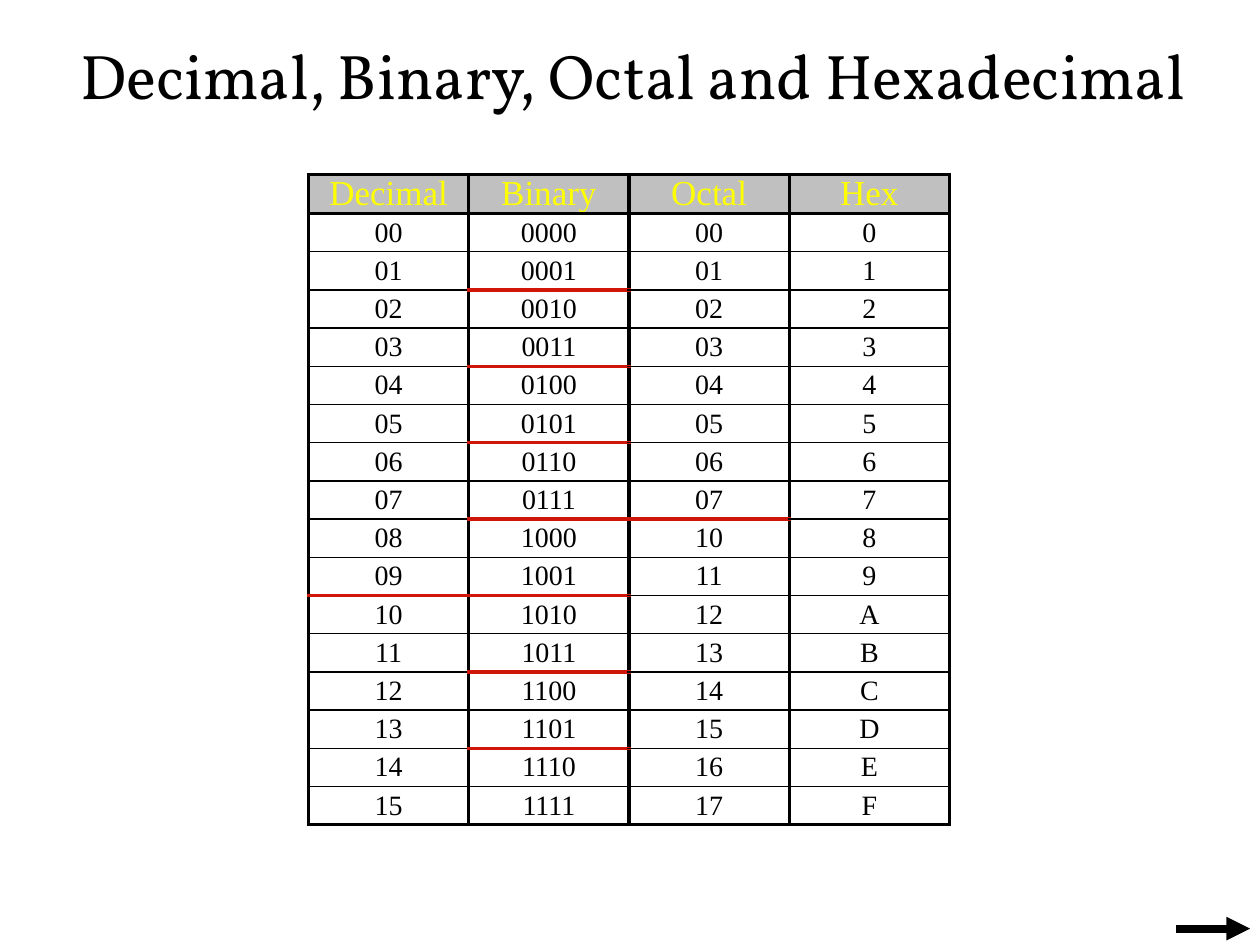
"""Build a slide with a table of the numbers 0 to 15 in four number bases."""
from lxml import etree
from pptx import Presentation, util as u
from pptx.dml.color import RGBColor
from pptx.enum import shapes, text
from pptx.oxml import ns

BLACK = RGBColor(0x00, 0x00, 0x00)
RED = RGBColor(0xD0, 0x16, 0x08)
YELLOW = RGBColor(0xFF, 0xFF, 0x00)
GREY = RGBColor(0xC0, 0xC0, 0xC0)

HEADING = "Decimal, Binary, Octal and Hexadecimal"
BASES = [("Decimal", "02d"), ("Binary", "04b"), ("Octal", "02o"), ("Hex", "X")]
NUMBERS = range(16)
CARRIES_AFTER = {"Decimal": [9], "Binary": range(1, 15, 2), "Octal": [7], "Hex": []}

COLUMN_WIDTH, ROW_HEIGHT = u.Cm(3.23), u.Cm(0.77)
THICK, THIN = u.Pt(2.25), u.Pt(1)
HEADING_FONT = {"name": "Vollkorn", "size": u.Pt(36)}
HEADER_FONT = {"name": "Times New Roman", "size": u.Pt(20)}
NUMBER_FONT = {"name": "Times New Roman", "size": u.Pt(16)}
NO_MARGINS = dict.fromkeys(
    ["margin_left", "margin_top", "margin_right", "margin_bottom"], 0)


def assign(target, values):
    for name, value in values.items():
        setattr(target, name, value)


def write(paragraph, words, font, color):
    paragraph.text = words
    paragraph.alignment = text.PP_ALIGN.CENTER
    assign(paragraph.font, font)
    paragraph.font.color.rgb = color


def rule_at(edge, base):
    """Give the colour and width of the horizontal rule above row `edge`."""
    if edge - 2 in CARRIES_AFTER[base]:
        return RED, THICK
    return BLACK, THICK if edge in (0, 1, len(NUMBERS) + 1) else THIN


def set_borders(cell, borders):
    properties = cell._tc.get_or_add_tcPr()
    for position, (side, (color, width)) in enumerate(borders.items()):
        line = etree.Element(ns.qn(f"a:ln{side}"), w=str(width))
        fill = etree.SubElement(line, ns.qn("a:solidFill"))
        etree.SubElement(fill, ns.qn("a:srgbClr"), val=str(color))
        properties.insert(position, line)


def add_title(slide):
    title = slide.shapes.title
    assign(title, {"left": u.Cm(0.84), "top": u.Cm(0.64),
                   "width": u.Cm(23.83), "height": u.Cm(1.7)})
    assign(title.text_frame, {**NO_MARGINS, "word_wrap": True,
                              "auto_size": text.MSO_AUTO_SIZE.NONE,
                              "vertical_anchor": text.MSO_ANCHOR.MIDDLE})
    write(title.text_frame.paragraphs[0], HEADING, HEADING_FONT, BLACK)


def add_number_table(slide):
    rows = [[base for base, _ in BASES]]
    rows += [[format(number, style) for _, style in BASES] for number in NUMBERS]
    table = slide.shapes.add_table(
        len(rows), len(BASES), u.Cm(6.22), u.Cm(3.52),
        COLUMN_WIDTH * len(BASES), ROW_HEIGHT * len(rows)).table
    assign(table, {"first_row": False, "horz_banding": False})
    for row, labels in enumerate(rows):
        table.rows[row].height = ROW_HEIGHT
        for column, label in enumerate(labels):
            cell = table.cell(row, column)
            assign(cell, {**NO_MARGINS, "vertical_anchor": text.MSO_ANCHOR.MIDDLE})
            paragraph = cell.text_frame.paragraphs[0]
            if row == 0:
                cell.fill.solid()
                cell.fill.fore_color.rgb = GREY
                write(paragraph, label, HEADER_FONT, YELLOW)
            else:
                cell.fill.background()
                write(paragraph, label, NUMBER_FONT, BLACK)
            base = BASES[column][0]
            set_borders(cell, {"L": (BLACK, THICK), "R": (BLACK, THICK),
                               "T": rule_at(row, base), "B": rule_at(row + 1, base)})


def add_next_arrow(slide):
    arrow = slide.shapes.add_connector(
        shapes.MSO_CONNECTOR.STRAIGHT,
        u.Cm(23.7), u.Cm(18.72), u.Cm(25.2), u.Cm(18.72))
    arrow.line.color.rgb = BLACK
    arrow.line.width = u.Pt(4.5)
    etree.SubElement(arrow.line._get_or_add_ln(), ns.qn("a:tailEnd"), type="triangle")
    etree.SubElement(arrow._element.spPr, ns.qn("a:effectLst"))


def main():
    deck = Presentation()
    assign(deck, {"slide_width": u.Cm(25.4), "slide_height": u.Cm(19.05)})
    slide = deck.slides.add_slide(deck.slide_layouts[5])
    add_title(slide)
    add_number_table(slide)
    add_next_arrow(slide)
    deck.save("out.pptx")


if __name__ == "__main__":
    main()
